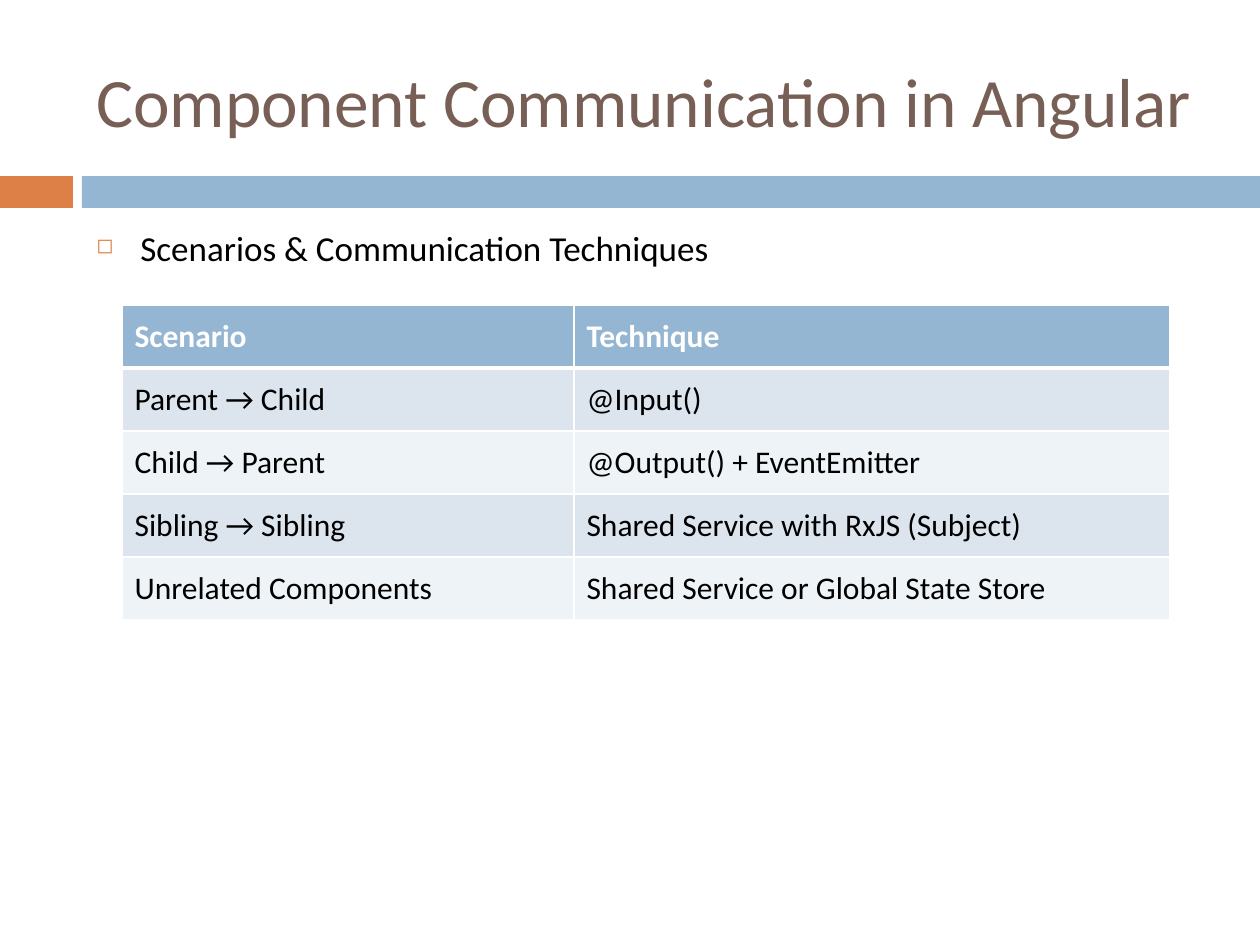
"""Builds a slide on component communication with a table of techniques."""
from lxml import etree
from pptx import Presentation
from pptx import util as u
from pptx.dml.color import RGBColor
from pptx.enum import shapes, text
from pptx.oxml.ns import qn


def px(num):
    return u.Emu(round(num * 914400 / 126))


def style(frame, size, color, bold=False):
    frame.word_wrap = True
    for run in frame.paragraphs[0].runs:
        run.font.name = "Calibri"
        run.font.size = u.Pt(size)
        run.font.bold = bold
        run.font.color.rgb = RGBColor.from_string(color)


deck = Presentation()
deck.slide_width, deck.slide_height = px(1260), px(945)
slide = deck.slides.add_slide(deck.slide_layouts[6])

for left, width, color in [(0, 73, "DD8047"), (82, 1178, "94B6D2")]:
    bar = slide.shapes.add_shape(
        shapes.MSO_SHAPE.RECTANGLE, px(left), px(176), px(width), px(32))
    bar.shadow.inherit = False
    bar.fill.solid()
    bar.fill.fore_color.rgb = RGBColor.from_string(color)
    bar.line.fill.background()

title = slide.shapes.add_textbox(px(84), px(32), px(1124), px(136)).text_frame
title.text = "Component Communication in Angular"
title.vertical_anchor = text.MSO_ANCHOR.MIDDLE
style(title, 39.6, "775F55")

body = slide.shapes.add_textbox(px(84), px(220), px(1124), px(620)).text_frame
body.text = "Scenarios & Communication Techniques"
style(body, 20, "000000")
para = body.paragraphs[0]
para.space_before = u.Pt(7)
props = para._p.get_or_add_pPr()
props.set("marL", str(px(44)))
props.set("indent", str(-px(44)))
tint = etree.SubElement(props, qn("a:buClr"))
etree.SubElement(tint, qn("a:srgbClr"), val="DD8047")
etree.SubElement(props, qn("a:buSzPct"), val="60000")
etree.SubElement(props, qn("a:buChar"), char="◻")

rows = [
    ("Scenario", "Technique"),
    ("Parent → Child", "@Input()"),
    ("Child → Parent", "@Output() + EventEmitter"),
    ("Sibling → Sibling", "Shared Service with RxJS (Subject)"),
    ("Unrelated Components", "Shared Service or Global State Store"),
]
table = slide.shapes.add_table(
    len(rows), 2, px(122), px(305), px(1048), px(315)).table
for col, width in zip(table.columns, (452, 596)):
    col.width = px(width)
for i, row in enumerate(rows):
    table.rows[i].height = px(63)
    head = i == 0
    fill = "94B6D2" if head else ("EEF3F7", "DCE5EE")[i % 2]
    for j, words in enumerate(row):
        cell = table.cell(i, j)
        cell.text_frame.text = words
        cell.vertical_anchor = text.MSO_ANCHOR.MIDDLE
        style(cell.text_frame, 18, "FFFFFF" if head else "000000", head)
        props = cell._tc.get_or_add_tcPr()
        for side in ("lnL", "lnR", "lnT", "lnB"):
            thick = (side == "lnB" and head) or (side == "lnT" and i == 1)
            edge = etree.SubElement(
                props, qn("a:" + side), w=str(u.Pt(3 if thick else 1)))
            paint = etree.SubElement(edge, qn("a:solidFill"))
            etree.SubElement(paint, qn("a:srgbClr"), val="FFFFFF")
        cell.fill.solid()
        cell.fill.fore_color.rgb = RGBColor.from_string(fill)

deck.save("out.pptx")
